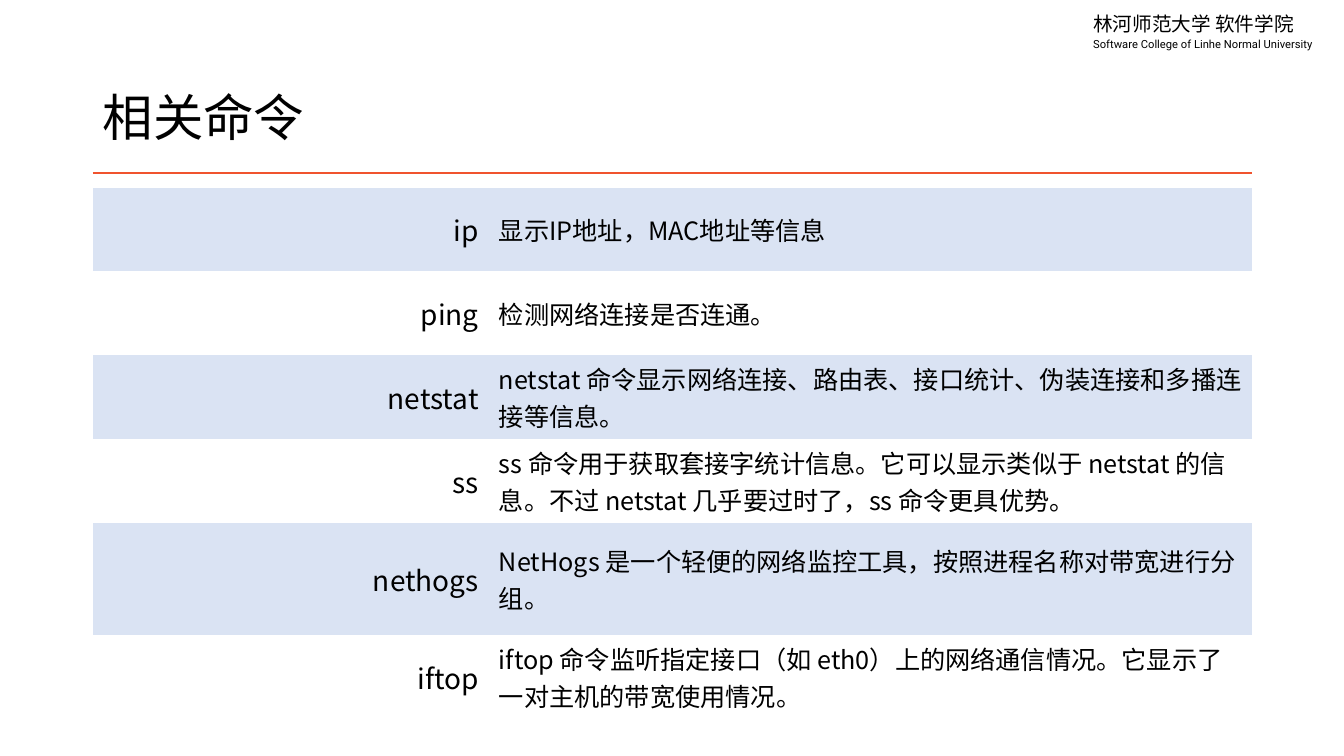
"""Build a slide that lists network commands in a banded table."""
from lxml import etree
from pptx import Presentation
from pptx.dml.color import RGBColor
from pptx.enum.shapes import MSO_CONNECTOR
from pptx.enum.text import MSO_ANCHOR, PP_ALIGN
from pptx.oxml.ns import qn
from pptx.util import Cm, Pt

LINE = MSO_CONNECTOR.STRAIGHT
MID, TOP = MSO_ANCHOR.MIDDLE, MSO_ANCHOR.TOP
LEFT, RIGHT = PP_ALIGN.LEFT, PP_ALIGN.RIGHT

HEAD = ["林河师范大学 软件学院", "Software College of Linhe Normal University"]
TITLE = "相关命令"
ROWS = [
    ("ip", "显示IP地址，MAC地址等信息"),
    ("ping", "检测网络连接是否连通。"),
    ("netstat", "netstat\u00a0命令显示网络连接、路由表、接口统计、伪装连接和多播连接等信息。"),
    ("ss", "ss 命令用于获取套接字统计信息。它可以显示类似于 netstat 的信息。"
           "不过 netstat 几乎要过时了，ss 命令更具优势。"),
    ("nethogs", "NetHogs 是一个轻便的网络监控工具，按照进程名称对带宽进行分组。"),
    ("iftop", "iftop\u00a0命令监听指定接口（如 eth0）上的网络通信情况。"
              "它显示了一对主机的带宽使用情况。"),
]
COLORS = {"text": "000000", "rule": "F0532E", "band": "DAE3F3"}
SANS, ROBOTO = "Noto Sans CJK SC", "Roboto"
NO_STYLE = "{2D5ABB26-0587-4C30-8999-92F81FD0307C}"
EDGE, WIDE = Cm(2.34), Cm(29.21)
COLS = [Cm(9.98), Cm(19.23)]
HIGH = [Cm(2.11)] * 4 + [Cm(2.83), Cm(2.11)]


def color(name):
    return RGBColor.from_string(COLORS[name])


def style(par, size, face=SANS, align=LEFT):
    par.alignment = align
    for run in par.runs:
        font = run.font
        font.size, font.name = Pt(size), face
        font.color.rgb = color("text")
        east = etree.Element(qn("a:ea"), typeface=face)
        font._element.find(qn("a:latin")).addnext(east)


def add_text(slide, box, lines, anchor):
    frame = slide.shapes.add_textbox(*box).text_frame
    frame.word_wrap = True
    frame.vertical_anchor = anchor
    frame.text = "\n".join(lines)
    return frame.paragraphs


def add_rule(slide):
    high = Cm(4.37)
    rule = slide.shapes.add_connector(LINE, EDGE, high, EDGE + WIDE, high)
    rule.line.color.rgb = color("rule")
    rule.line.width = Pt(1.5)
    etree.SubElement(rule._element.spPr, qn("a:effectLst"))


def add_grid(slide):
    grid = slide.shapes.add_table(
        len(ROWS), len(COLS), EDGE, Cm(4.73), WIDE, sum(HIGH)).table
    grid.first_row = grid.horz_banding = False
    grid._tbl.tblPr.find(qn("a:tableStyleId")).text = NO_STYLE
    for col, width in zip(grid.columns, COLS):
        col.width = width
    for row, high in zip(grid.rows, HIGH):
        row.height = high
    for r, texts in enumerate(ROWS):
        for c, (text, size, align) in enumerate(zip(texts, (20, 18), (RIGHT, LEFT))):
            cell = grid.cell(r, c)
            cell.text = text
            cell.vertical_anchor = MID
            style(cell.text_frame.paragraphs[0], size, align=align)
            if r % 2:
                cell.fill.background()
            else:
                cell.fill.solid()
                cell.fill.fore_color.rgb = color("band")


deck = Presentation()
deck.slide_width, deck.slide_height = Cm(33.87), Cm(19.05)
slide = deck.slides.add_slide(deck.slide_layouts[6])
add_rule(slide)
name, sub = add_text(slide, (Cm(27.3), Cm(0.18), Cm(6.32), Cm(1.24)), HEAD, TOP)
style(name, 14)
style(sub, 8, ROBOTO)
sub.line_spacing = Pt(10.8)
title, = add_text(slide, (EDGE, Cm(2.06), WIDE, Cm(1.96)), [TITLE], MID)
style(title, 36)
title.line_spacing = 0.9
add_grid(slide)
deck.save("out.pptx")
